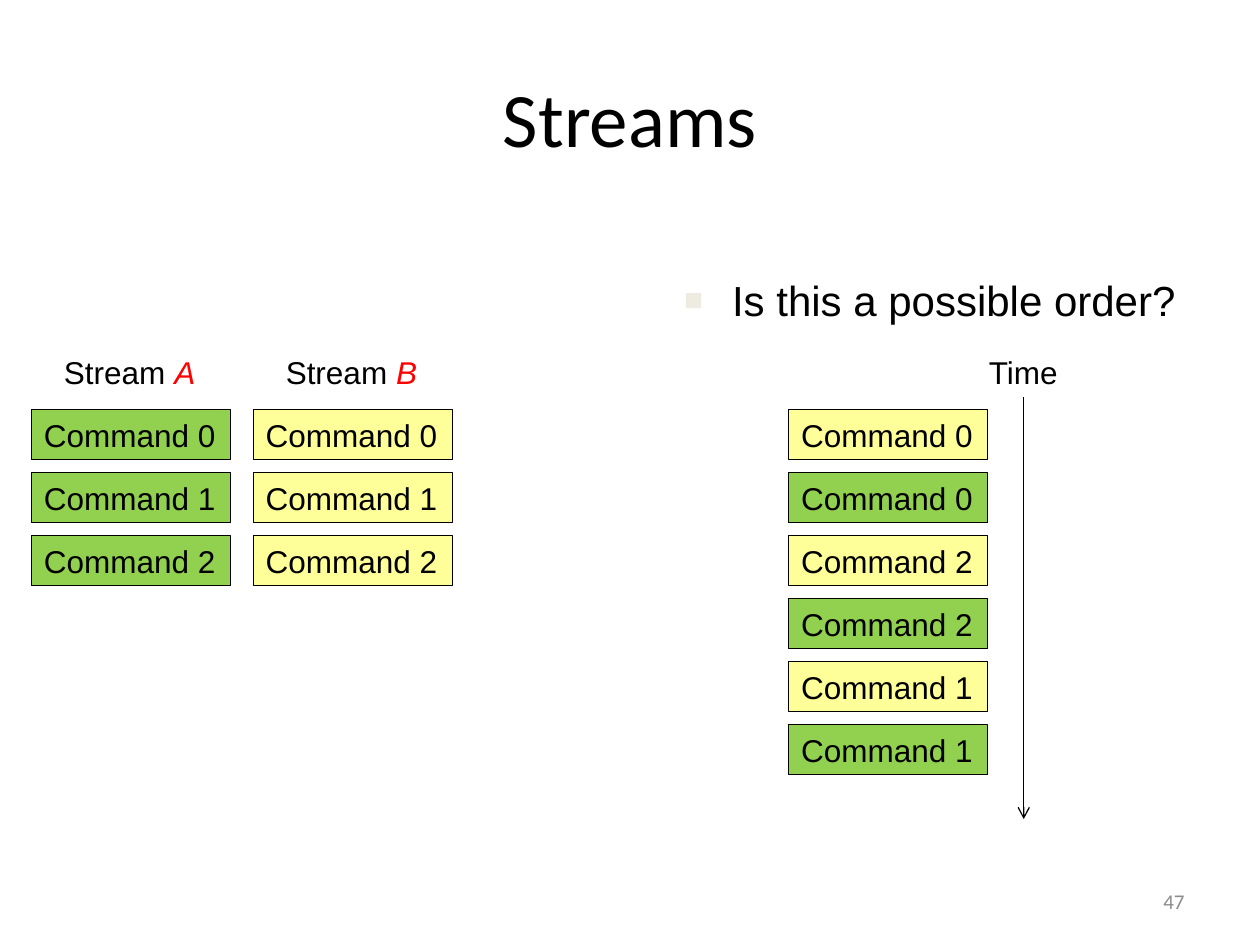
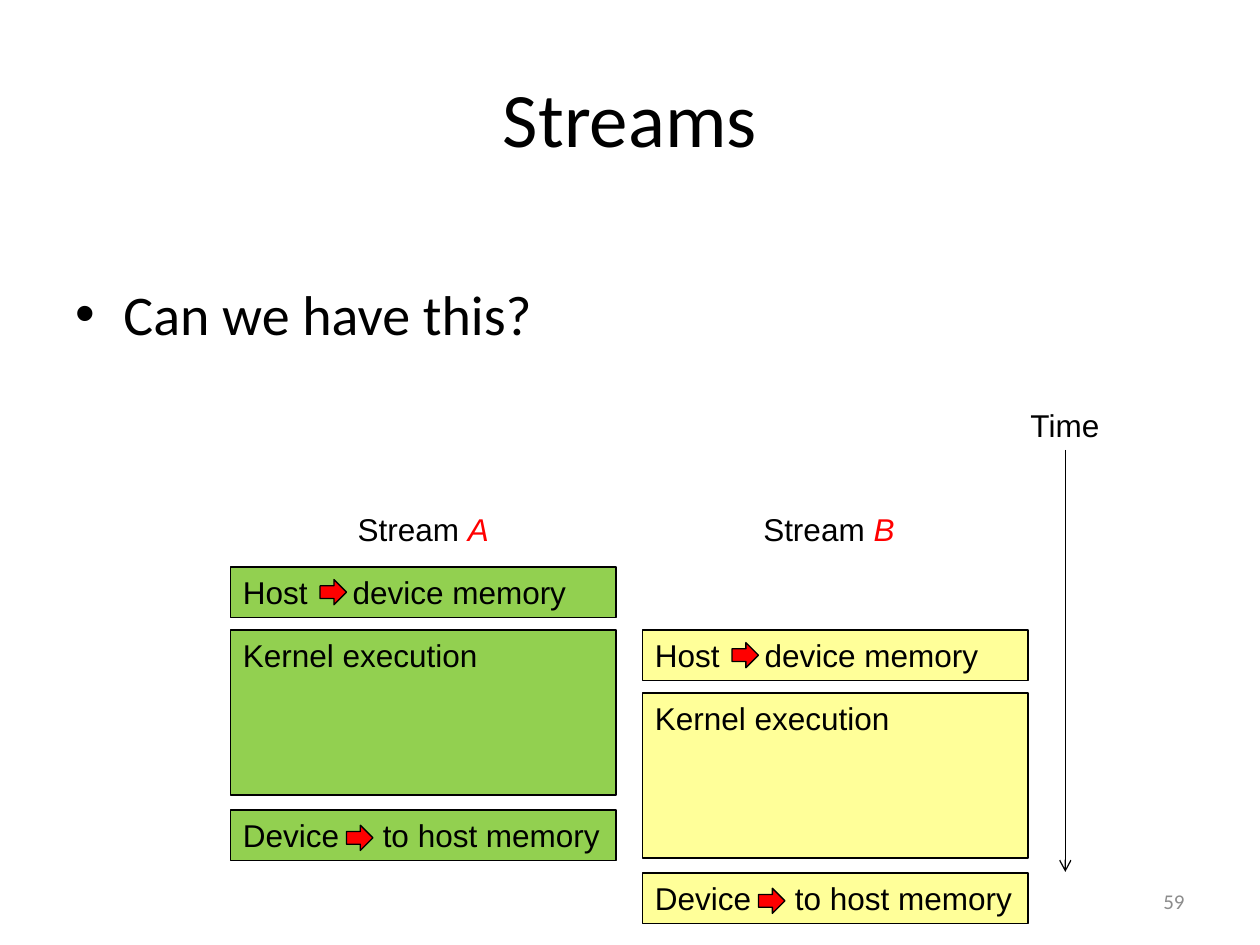
from lxml.etree import SubElement
from pptx import Presentation
from pptx.dml.color import RGBColor
from pptx.enum.shapes import MSO_CONNECTOR, MSO_SHAPE
from pptx.enum.text import MSO_ANCHOR as Anchor, PP_ALIGN as Align
from pptx.oxml.ns import qn
from pptx.util import Inches, Pt

# Shared look
BLACK = RGBColor(0x00, 0x00, 0x00)
RED = RGBColor(0xFF, 0x00, 0x00)
GRAY = RGBColor(0x8C, 0x8C, 0x8C)
GREEN = RGBColor(0x92, 0xD0, 0x50)
YELLOW = RGBColor(0xFF, 0xFF, 0x99)
STREAM_FILL = {"A": GREEN, "B": YELLOW}
TITLE = "Streams"
ROW_HEIGHT, ROW_PITCH = 0.4, 0.5

# Slide 1: (stream, left, label left, commands), then the order in time
ORDER_QUESTION = "Is this a possible order?"
COMMAND_STREAMS = [
    ("A", 0.25, 0.41, [0, 1, 2]),
    ("B", 2.01, 2.17, [0, 1, 2]),
]
ORDER = [("B", 0), ("A", 0), ("B", 2), ("A", 2), ("B", 1), ("A", 1)]
ORDER_LEFT, COMMANDS_TOP, COMMAND_WIDTH = 6.26, 3.25, 1.58

# Slide 2: (stream, left, top, label left)
OVERLAP_QUESTION = "Can we have this?"
STAGE_STREAMS = [("A", 1.83, 4.5, 2.74), ("B", 5.1, 5.0, 5.96)]
STAGE_LABEL_TOP, STAGE_WIDTH = 4.0, 3.06
# (text, top offset, height, tab stop, arrow offset)
STAGES = [
    ("Host\tdevice memory", 0, ROW_HEIGHT, 0.87, (0.71, 0.1)),
    ("Kernel execution", 0.5, 1.31, None, None),
    ("Device\tto host memory", 1.93, ROW_HEIGHT, 1.11, (0.92, 0.12)),
]


def place(shape, *box):
    shape.left, shape.top, shape.width, shape.height = map(Inches, box)


def style(run, size=18, color=BLACK, font="Arial"):
    run.font.size, run.font.name = Pt(size), font
    run.font.color.rgb = color


def add_label(slide, text, left, top, width, stream=None):
    label = slide.shapes.add_textbox(*map(Inches, (left, top, width, ROW_HEIGHT)))
    label.text_frame.word_wrap = False
    label.text_frame.text = text
    paragraph = label.text_frame.paragraphs[0]
    style(paragraph.runs[0])
    if stream:
        letter = paragraph.add_run()
        letter.text = stream
        style(letter, color=RED)
        letter.font.italic = True
    return label


def add_outlined(slide, preset, fill, *box):
    shape = slide.shapes.add_shape(preset, *map(Inches, box))
    shape.shadow.inherit = False
    shape.fill.solid()
    shape.fill.fore_color.rgb = fill
    shape.line.color.rgb = BLACK
    shape.line.width = Pt(0.75)
    return shape


def add_box(slide, text, stream, left, top, width, height=ROW_HEIGHT, tab=None, wrap=True):
    box = add_outlined(slide, MSO_SHAPE.RECTANGLE, STREAM_FILL[stream],
                       left, top, width, height)
    frame = box.text_frame
    frame.word_wrap = wrap
    frame.vertical_anchor = Anchor.TOP
    frame.text = text
    paragraph = frame.paragraphs[0]
    paragraph.alignment = Align.LEFT
    if tab:
        tabs = SubElement(paragraph._p.get_or_add_pPr(), qn("a:tabLst"))
        SubElement(tabs, qn("a:tab"), pos=str(Inches(tab)), algn="l")
    style(paragraph.runs[0])
    return box


def add_command(slide, stream, number, left, row):
    add_box(slide, f"Command {number}", stream, left,
            COMMANDS_TOP + row * ROW_PITCH, COMMAND_WIDTH, wrap=False)


def add_time_axis(slide, left, top):
    label = add_label(slide, "Time", left, top, 0.75)
    middle, start = label.left + label.width // 2, label.top + label.height
    axis = slide.shapes.add_connector(MSO_CONNECTOR.STRAIGHT, middle, start,
                                      middle, start + Inches(3.35))
    axis.begin_connect(label, 2)
    axis.line.color.rgb = BLACK
    axis.line.width = Pt(0.75)
    properties = axis._element.spPr
    SubElement(properties.find(qn("a:ln")), qn("a:tailEnd"), type="arrow")
    SubElement(properties, qn("a:effectLst"))


def add_question(slide, text, box, size, font, bullet, bullet_color=None):
    body = slide.placeholders[1]
    place(body, *box)
    body.text_frame.text = text
    paragraph = body.text_frame.paragraphs[0]
    paragraph.space_before = Pt(0)
    indent = Inches(0.38)
    properties = paragraph._p.get_or_add_pPr()
    properties.set("marL", str(indent))
    properties.set("indent", str(-indent))
    if bullet_color:
        color = SubElement(properties, qn("a:buClr"))
        SubElement(color, qn("a:srgbClr"), val=str(bullet_color))
        SubElement(properties, qn("a:buSzPct"), val="75000")
    SubElement(properties, qn("a:buFont"), typeface="Arial")
    SubElement(properties, qn("a:buChar"), char=bullet)
    style(paragraph.runs[0], size, font=font)


def add_slide(deck, number):
    slide = deck.slides.add_slide(deck.slide_layouts[1])
    title = slide.shapes.title
    place(title, 0.5, 0.3, 9, 1.25)
    title.text_frame.text = TITLE
    title.text_frame.vertical_anchor = Anchor.MIDDLE
    title.text_frame.paragraphs[0].alignment = Align.CENTER
    style(title.text_frame.paragraphs[0].runs[0], 44, font="Calibri")

    page = slide.shapes.add_textbox(*map(Inches, (7.17, 6.95, 2.33, 0.4))).text_frame
    page.word_wrap = True
    page.vertical_anchor = Anchor.MIDDLE
    page.text = str(number)
    page.paragraphs[0].alignment = Align.RIGHT
    style(page.paragraphs[0].runs[0], 12, GRAY, "Calibri")
    return slide


def build_order_slide(deck):
    slide = add_slide(deck, 47)
    add_question(slide, ORDER_QUESTION, (5.33, 2.13, 4.17, 0.62), 24, "Arial",
                 "■", RGBColor(0xEE, 0xEC, 0xE1))
    # Commands of each stream
    for stream, left, label_left, commands in COMMAND_STREAMS:
        add_label(slide, "Stream ", label_left, 2.75, 1.27, stream)
        for row, number in enumerate(commands):
            add_command(slide, stream, number, left, row)
    # Interleaved order along the time axis
    add_time_axis(slide, 7.75, 2.75)
    for row, (stream, number) in enumerate(ORDER):
        add_command(slide, stream, number, ORDER_LEFT, row)


def build_overlap_slide(deck):
    slide = add_slide(deck, 59)
    add_question(slide, OVERLAP_QUESTION, (0.5, 2.17, 9, 0.78), 32, "Calibri", "•")
    add_time_axis(slide, 8.08, 3.17)
    # Stages of each stream, the copies with an arrow in their text
    for stream, left, top, label_left in STAGE_STREAMS:
        add_label(slide, "Stream ", label_left, STAGE_LABEL_TOP, 1.27, stream)
        for text, offset, height, tab, arrow_offset in STAGES:
            stage = add_box(slide, text, stream, left, top + offset,
                            STAGE_WIDTH, height, tab)
            if arrow_offset:
                across, down = arrow_offset
                arrow = add_outlined(slide, MSO_SHAPE.RIGHT_ARROW, RED, left + across,
                                     top + offset + down, 0.21, 0.2)
                slide.shapes.add_group_shape([stage, arrow])


def main():
    deck = Presentation()
    deck.slide_width, deck.slide_height = Inches(10), Inches(7.5)
    build_order_slide(deck)
    build_overlap_slide(deck)
    deck.save("out.pptx")


if __name__ == "__main__":
    main()
